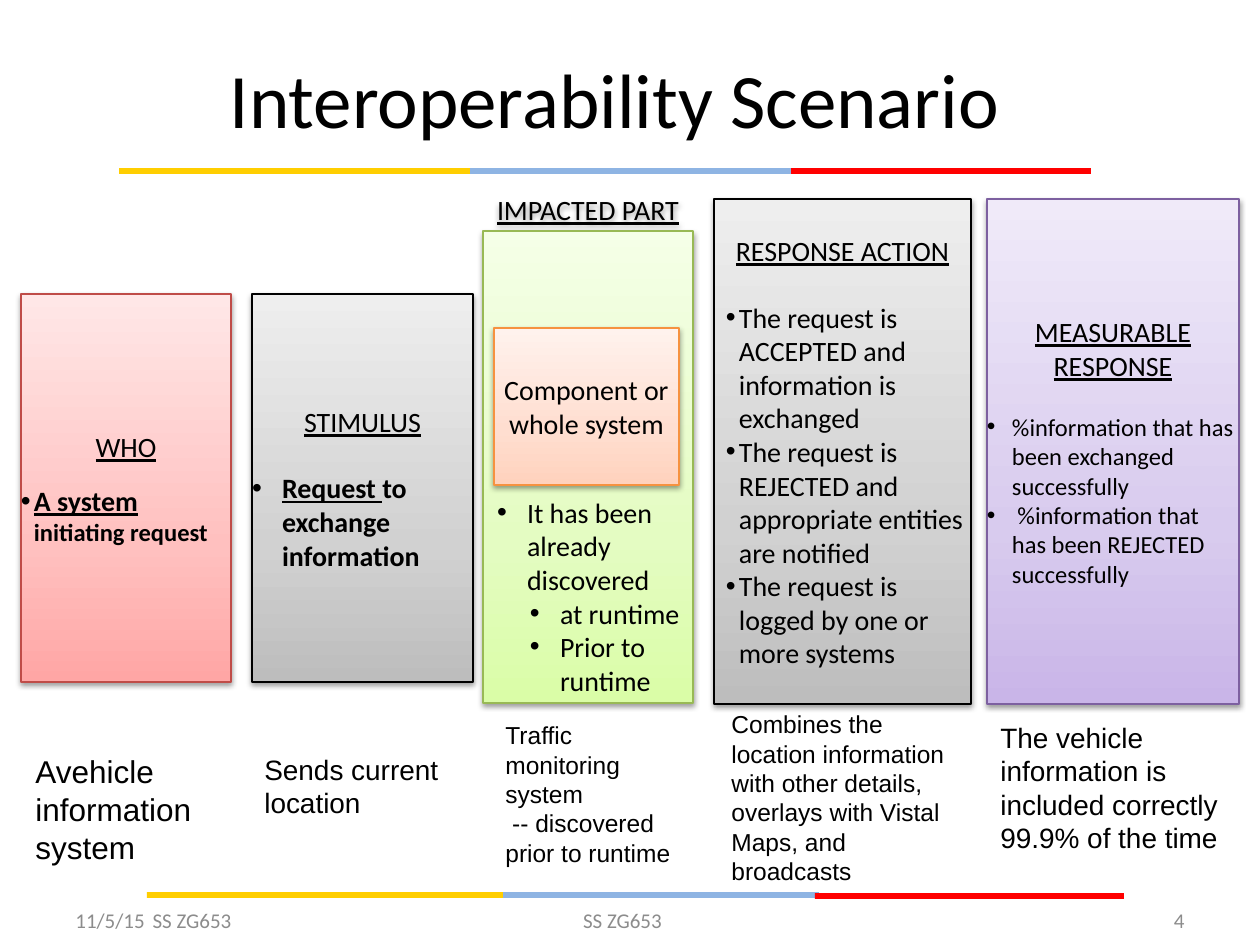
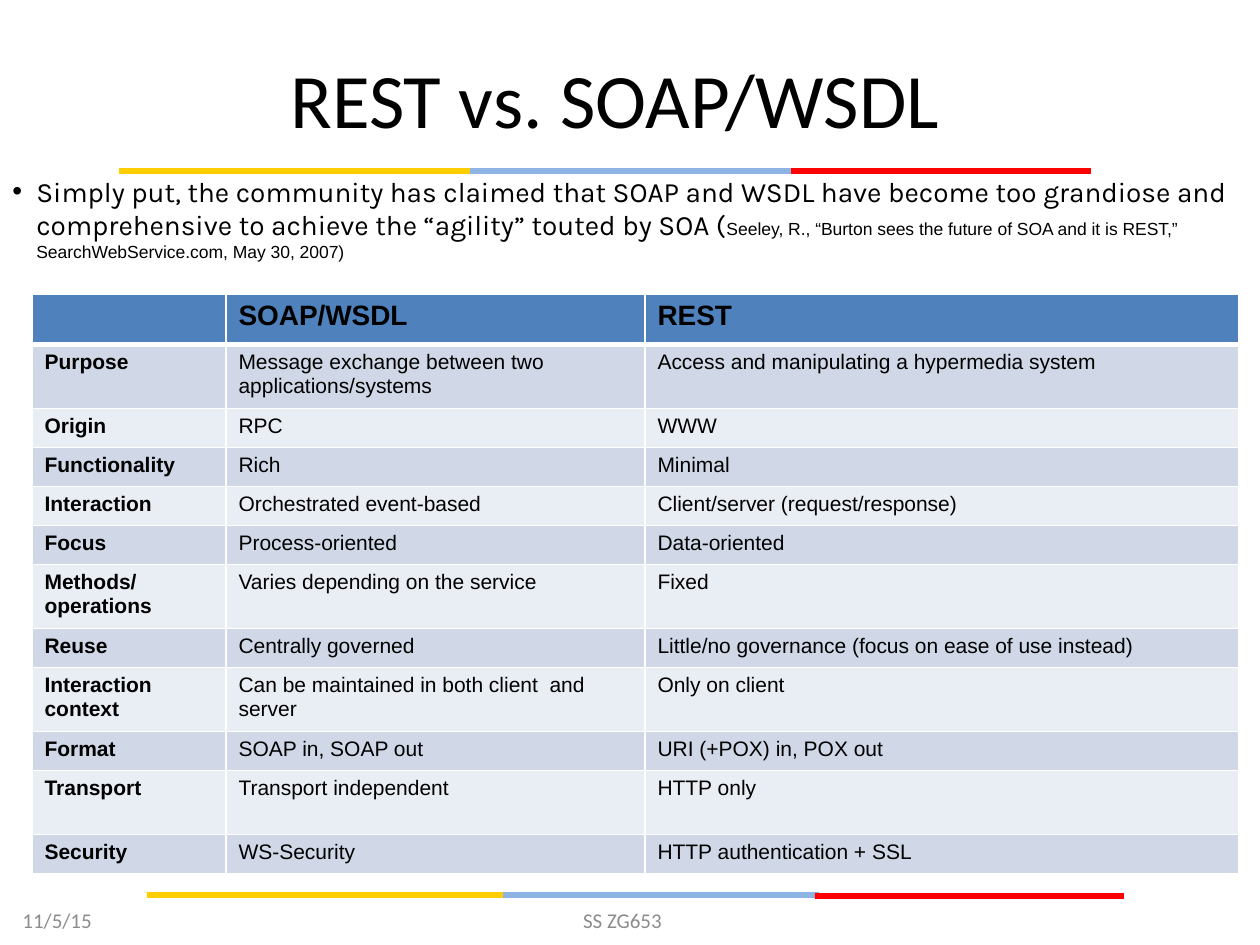
import copy

import pptx
import pptx.dml.color
import pptx.enum.shapes
import pptx.enum.text
import pptx.oxml.ns
import pptx.util
from lxml import etree

PX = 914400 / 126  # EMU in one px
SLIDE_SIZE = (1260, 945)

COLORS = {
    "black": "000000", "white": "FFFFFF", "footer": "8C8C8C",
    "yellow": "FFCE00", "blue": "8EB4E3", "red": "FF0000",
    "header": "4F81BD", "odd row": "D0D8E8", "even row": "E9EDF4",
}
# gradient from bottom to top, then outline
PANEL_COLORS = {
    "red": ("FFA6A5", "FFC0BF", "FFE7E7", "BF4C48"),
    "gray": ("BDBDBD", "D1D1D1", "EEEEEE", "000000"),
    "green": ("DAFDA7", "E4FCC2", "F5FFE7", "98B955"),
    "purple": ("C9B5E8", "D8CBEE", "F0EAF9", "7D60A0"),
    "orange": ("FFD2BD", "FFDED0", "FFF2ED", "F69240"),
}
GRADIENT_POSITIONS = (0, 0.35, 1)

# color, left, top, width
BANDS = [
    ("red", 784, 168, 307), ("yellow", 119, 168, 356), ("blue", 470, 168, 321),
    ("blue", 498, 892, 321), ("red", 815, 893, 309), ("yellow", 147, 892, 356),
]
BAND_HEIGHT = 6
FOOTER_TOP, FOOTER_HEIGHT = 895, 50
COURSE = "SS ZG653"
DATE = "11/5/15"

# box, colors, anchor, heading, gap before the bullets in points, bullets (text, format)
PANELS = [
    ((21, 294, 210, 388), "red", "MIDDLE", "WHO", 12, [
        ([("A system ", {"bold": True, "underline": True}),
          ("initiating request", {"bold": True, "size": 14})], {"bullet": (13, 13)}),
    ]),
    ((252, 294, 221, 388), "gray", "MIDDLE", "STIMULUS", 19, [
        ([("Request ", {"bold": True, "underline": True}),
          ("to exchange information", {"bold": True})], {"bullet": (30, 30)}),
    ]),
    ((483, 231, 210, 472), "green", "BOTTOM", "IMPACTED PART", 154, [
        ("It has been already discovered", {"bullet": (44, 30)}),
        ("at runtime", {"bullet": (77, 30), "level": 1}),
        ("Prior to runtime", {"bullet": (77, 30), "level": 1}),
    ]),
    ((714, 199, 257, 505), "gray", "MIDDLE", "RESPONSE ACTION", 19, [
        ("The request is ACCEPTED and information is exchanged", {"bullet": (25, 13)}),
        ("The request is REJECTED and appropriate entities are notified", {"bullet": (25, 13)}),
        ("The request is logged by one or more systems", {"bullet": (25, 13)}),
    ]),
    ((987, 199, 252, 505), "purple", "MIDDLE", "MEASURABLE RESPONSE", 17, [
        ("%information that has been exchanged successfully", {"bullet": (25, 25), "size": 14}),
        (" %information that has been REJECTED successfully", {"bullet": (25, 25), "size": 14}),
    ]),
]
COMPONENT_BOX = (494, 328, 185, 157)

# box, text size, paragraphs
CAPTIONS = [
    ((23, 746, 208, 127), 18, ["Avehicle information system"]),
    ((252, 746, 242, 81), 16, ["Sends current location"]),
    ((493, 714, 210, 161), 14, ["Traffic monitoring system", " -- discovered prior to runtime"]),
    ((719, 703, 257, 190), 14, ["Combines the location information with other details, "
                                "overlays with Vistal Maps, and broadcasts"]),
    ((988, 714, 252, 149), 16, ["The vehicle information is included correctly 99.9% of the time"]),
]

CLAIM = [
    ("Simply put, the community has claimed that SOAP and WSDL have become too grandiose and "
     "comprehensive to achieve the “agility” touted by SOA (", {"font": "Karla"}),
    ("Seeley, R., “Burton sees the future of SOA and it is REST,” "
     "SearchWebService.com, May 30, 2007)", {"size": 10}),
]
COMPARISON = [
    ("", "SOAP/WSDL", "REST"),
    ("Purpose", "Message exchange between two applications/systems",
     "Access and manipulating a hypermedia system"),
    ("Origin", "RPC", "WWW"),
    ("Functionality", "Rich", "Minimal"),
    ("Interaction", "Orchestrated event-based", "Client/server (request/response)"),
    ("Focus", "Process-oriented", "Data-oriented"),
    ("Methods/ operations", "Varies depending on the service", "Fixed"),
    ("Reuse", "Centrally governed", "Little/no governance (focus on ease of use instead)"),
    ("Interaction context", "Can be maintained in both client  and server", "Only on client"),
    ("Format", "SOAP in, SOAP out", "URI (+POX) in, POX out"),
    ("Transport", "Transport independent", "HTTP only"),
    ("Security", "WS-Security", "HTTP authentication + SSL"),
]
COLUMN_WIDTHS = (194, 419, 594)
HEADER_HEIGHT, ROW_HEIGHT, TALL_ROW_HEIGHT = 45, 39, 64
TALL_ROWS = {"Purpose", "Methods/ operations", "Interaction context", "Transport"}

qn = pptx.oxml.ns.qn


def emu(*lengths):
    return [round(length * PX) for length in lengths]


def rgb(value):
    return pptx.dml.color.RGBColor.from_string(value)


def write(frame, text, size=16, font="Arial", color="black", bold=False, underline=False,
          align="LEFT", bullet=None, level=0, space_before=0):
    """Add a paragraph; text is a string or a list of (string, run format).

    bullet is (left margin, hang) in px.
    """
    paragraph = frame.paragraphs[0]
    if paragraph.runs:
        paragraph = frame.add_paragraph()
    paragraph.alignment = getattr(pptx.enum.text.PP_ALIGN, align)
    paragraph.level = level
    if bullet:
        left, hang = emu(*bullet)
        properties = paragraph._p.get_or_add_pPr()
        properties.set("marL", str(left))
        properties.set("indent", str(-hang))
        etree.SubElement(properties, qn("a:buFont"), typeface="Arial")
        etree.SubElement(properties, qn("a:buChar"), char="•")
    if space_before:
        paragraph.space_before = pptx.util.Pt(space_before)
    base = {"size": size, "font": font, "bold": bold, "underline": underline}
    for words, changes in [(text, {})] if isinstance(text, str) else text:
        style = {**base, **changes}
        run = paragraph.add_run()
        run.text = words
        run.font.size = pptx.util.Pt(style["size"])
        run.font.name = style["font"]
        run.font.bold = style["bold"]
        run.font.underline = style["underline"]
        run.font.color.rgb = rgb(COLORS[color])


def add_text_box(slide, box, paragraphs, anchor="TOP", **text_format):
    frame = slide.shapes.add_textbox(*emu(*box)).text_frame
    frame.word_wrap = True
    frame.vertical_anchor = getattr(pptx.enum.text.MSO_ANCHOR, anchor)
    for text in paragraphs:
        write(frame, text, **text_format)


def add_rectangle(slide, box):
    shape = slide.shapes.add_shape(pptx.enum.shapes.MSO_SHAPE.RECTANGLE, *emu(*box))
    shape.shadow.inherit = False
    return shape


def add_panel(slide, box, colors, anchor):
    """Add a gradient rectangle with a soft shadow and return its text frame."""
    shape = add_rectangle(slide, box)
    *gradient, outline = PANEL_COLORS[colors]
    shape.fill.gradient()
    shape.fill.gradient_angle = 90
    stop_list = shape._element.spPr.find(".//" + qn("a:gsLst"))
    stop_list.append(copy.deepcopy(stop_list[0]))
    for stop, position, color in zip(shape.fill.gradient_stops, GRADIENT_POSITIONS, gradient):
        stop.position = position
        stop.color.rgb = rgb(color)
    shape.line.color.rgb = rgb(outline)
    shape.line.width = pptx.util.Pt(0.75)

    effects = shape._element.spPr.find(qn("a:effectLst"))
    shadow = etree.SubElement(effects, qn("a:outerShdw"), blurRad="40000", dist="20000",
                              dir="5400000", rotWithShape="0")
    shadow_color = etree.SubElement(shadow, qn("a:srgbClr"), val=COLORS["black"])
    etree.SubElement(shadow_color, qn("a:alpha"), val="38000")

    frame = shape.text_frame
    frame.word_wrap = True
    frame.margin_left = frame.margin_right = 0
    frame.vertical_anchor = getattr(pptx.enum.text.MSO_ANCHOR, anchor)
    return frame


def add_footer(slide, left, width, text, align="LEFT"):
    add_text_box(slide, (left, FOOTER_TOP, width, FOOTER_HEIGHT), [text], anchor="MIDDLE",
                 size=12, font="Calibri", color="footer", align=align)


def add_base_slide(presentation, title):
    slide = presentation.slides.add_slide(presentation.slide_layouts[6])
    for color, left, top, width in BANDS:
        band = add_rectangle(slide, (left, top, width, BAND_HEIGHT))
        band.fill.solid()
        band.fill.fore_color.rgb = rgb(COLORS[color])
        band.line.fill.background()
    add_footer(slide, 423, 399, COURSE, "CENTER")
    add_text_box(slide, (48, 28, 1134, 140), [title], anchor="MIDDLE",
                 size=44, font="Calibri", align="CENTER")
    return slide


def add_borders(cell, bottom_width):
    properties = cell._tc.get_or_add_tcPr()
    for index, side in enumerate("LRTB"):
        width = bottom_width if side == "B" else 1
        line = etree.Element(qn("a:ln" + side), w=str(pptx.util.Pt(width)))
        fill = etree.SubElement(line, qn("a:solidFill"))
        etree.SubElement(fill, qn("a:srgbClr"), val=COLORS["white"])
        properties.insert(index, line)


def build_scenario_slide(presentation):
    slide = add_base_slide(presentation, "Interoperability Scenario")
    add_footer(slide, 63, 294, DATE)
    add_footer(slide, 903, 294, "4", "RIGHT")
    add_footer(slide, 0, 384, COURSE, "CENTER")
    for box, colors, anchor, heading, gap, bullets in PANELS:
        frame = add_panel(slide, box, colors, anchor)
        write(frame, heading, font="Calibri", underline=True, align="CENTER")
        for index, (text, text_format) in enumerate(bullets):
            write(frame, text, font="Calibri", space_before=0 if index else gap, **text_format)
    component = add_panel(slide, COMPONENT_BOX, "orange", "MIDDLE")
    write(component, "Component or whole system", font="Calibri", align="CENTER")
    for box, size, paragraphs in CAPTIONS:
        add_text_box(slide, box, paragraphs, size=size)


def build_comparison_slide(presentation):
    slide = add_base_slide(presentation, "REST vs. SOAP/WSDL")
    heights = [HEADER_HEIGHT] + [TALL_ROW_HEIGHT if row[0] in TALL_ROWS else ROW_HEIGHT
                                 for row in COMPARISON[1:]]
    table = slide.shapes.add_table(len(COMPARISON), len(COLUMN_WIDTHS), *emu(
        32, 294, sum(COLUMN_WIDTHS), sum(heights))).table
    table.horz_banding = False
    for column, width in zip(table.columns, emu(*COLUMN_WIDTHS)):
        column.width = width
    for row, height in zip(table.rows, emu(*heights)):
        row.height = height
    for row_index, row in enumerate(COMPARISON):
        is_header = row_index == 0
        fill = "header" if is_header else "odd row" if row_index % 2 else "even row"
        for column_index, text in enumerate(row):
            cell = table.cell(row_index, column_index)
            cell.fill.solid()
            cell.fill.fore_color.rgb = rgb(COLORS[fill])
            add_borders(cell, 3 if is_header else 1)
            write(cell.text_frame, text, size=16 if is_header else 12,
                  bold=is_header or column_index == 0)
    add_text_box(slide, (0, 168, 1260, 146), [CLAIM], bullet=(24, 24))
    add_footer(slide, 10, 294, DATE)


def main():
    presentation = pptx.Presentation()
    presentation.slide_width, presentation.slide_height = emu(*SLIDE_SIZE)
    build_scenario_slide(presentation)
    build_comparison_slide(presentation)
    presentation.save("out.pptx")


if __name__ == "__main__":
    main()
